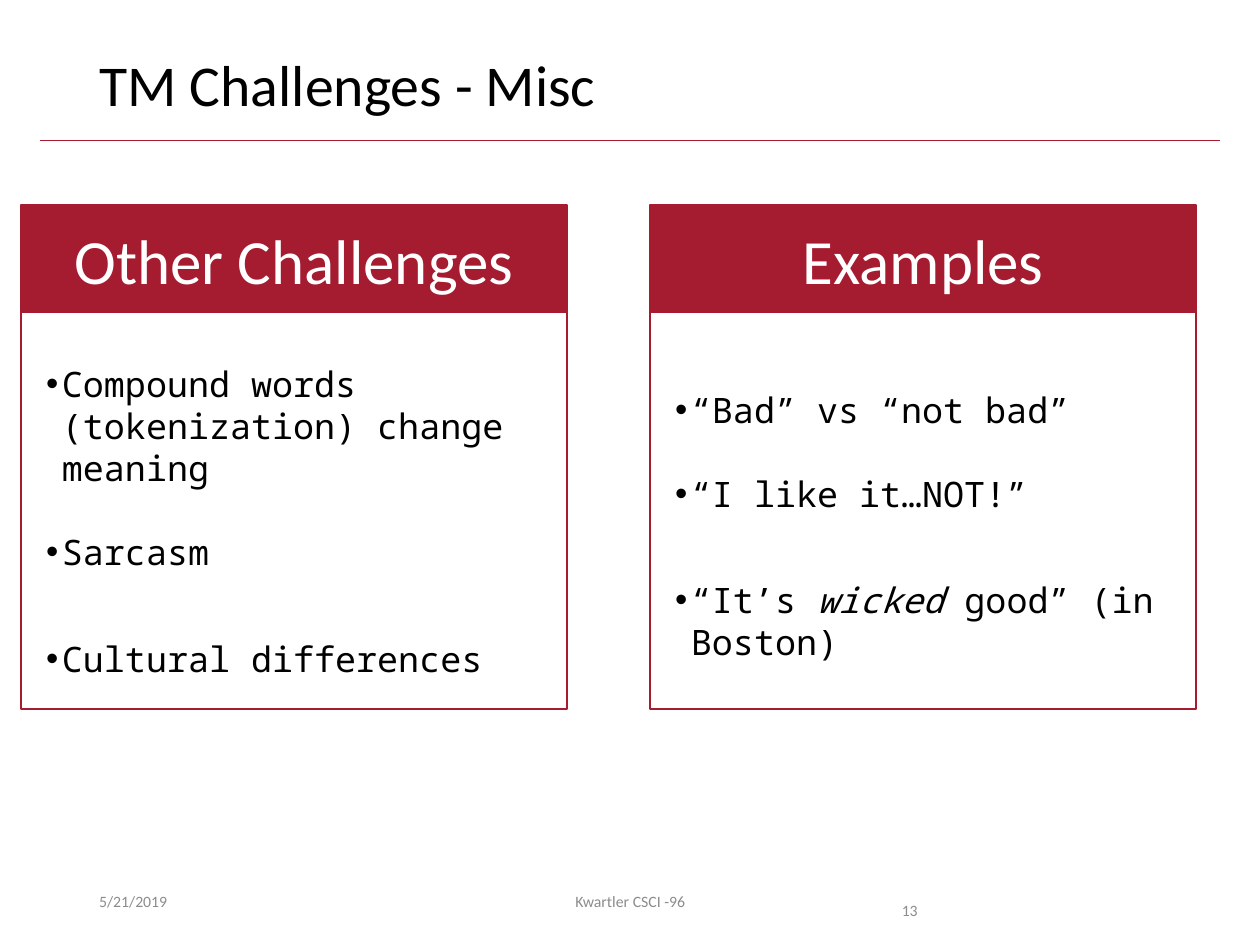
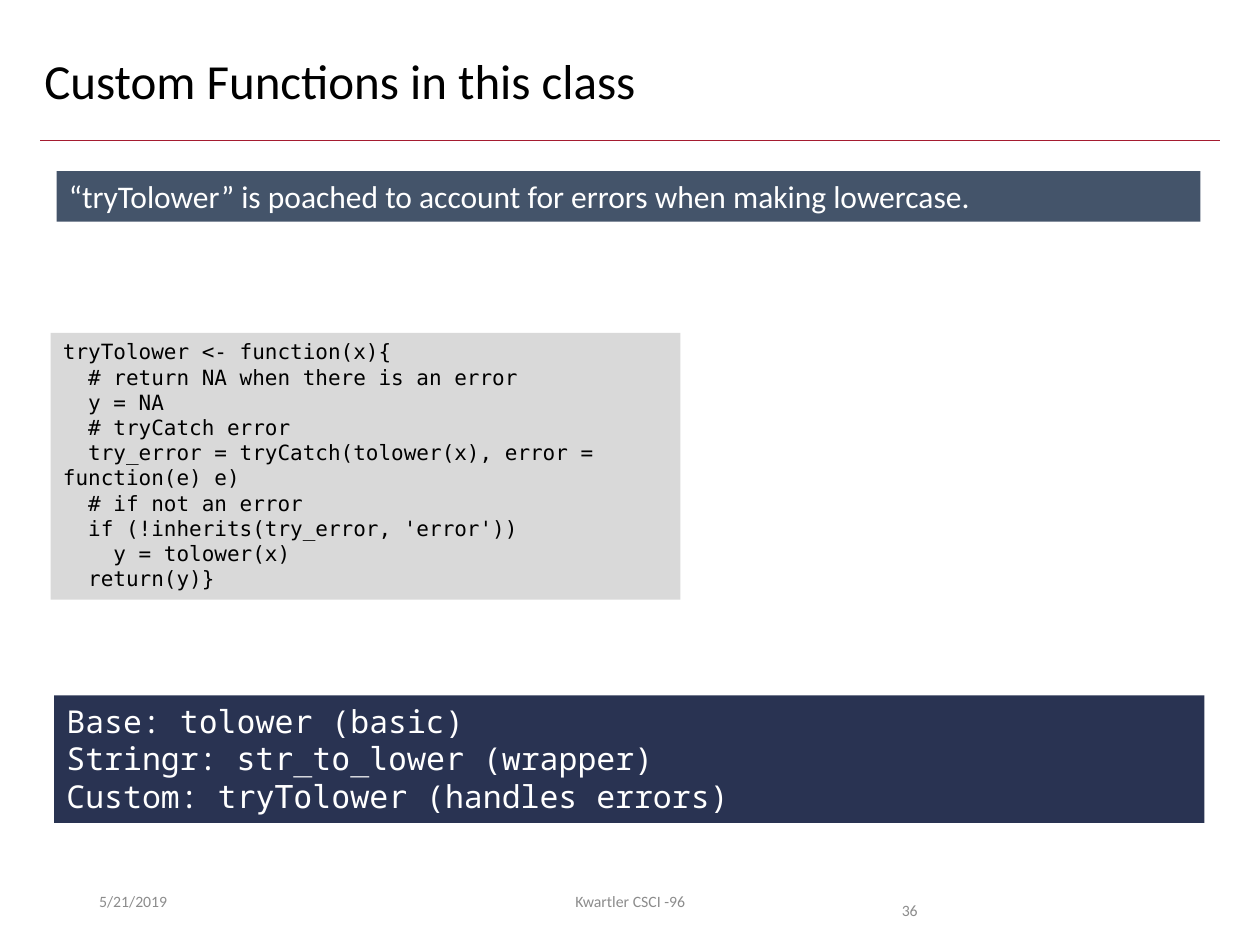
from dataclasses import dataclass, replace

from lxml import etree
from pptx import Presentation
from pptx.dml import color as dml
from pptx.enum import shapes, text
from pptx.oxml import ns
from pptx.util import Cm, Pt


@dataclass(frozen=True)
class Style:
    font: str
    size: int
    color: str
    italic: bool = False


@dataclass(frozen=True)
class Theme:
    crimson: str = "A51C30"
    slate: str = "44546A"
    navy: str = "293352"
    silver: str = "D9D9D9"
    title: Style = Style("Calibri", 33, "000000")
    small_title: Style = Style("Calibri", 28, "000000")
    footer: Style = Style("Calibri", 9, "8C8C8C")
    heading: Style = Style("Calibri", 36, "FFFFFF")
    bullet: Style = Style("Noto Sans Mono", 20, "000000")
    code: Style = Style("DejaVu Sans Mono", 12, "000000")
    note: Style = Style("Calibri", 18, "FFFFFF")
    summary: Style = Style("Noto Sans Mono", 18, "FFFFFF")


THEME = Theme()
LEFT = text.PP_ALIGN.LEFT
CENTER = text.PP_ALIGN.CENTER
TOP = text.MSO_ANCHOR.TOP
MIDDLE = text.MSO_ANCHOR.MIDDLE
GROW = text.MSO_AUTO_SIZE.SHAPE_TO_FIT_TEXT
FIXED = text.MSO_AUTO_SIZE.NONE


def lengths(values):
    return [Cm(value) for value in values]


def rgb(code):
    return dml.RGBColor.from_string(code)


class Deck:
    def __init__(self, theme):
        self.theme = theme
        self.deck = Presentation()
        self.deck.slide_width, self.deck.slide_height = Cm(25.4), Cm(19.05)
        self.page = None

    def fill_text(self, box, lines, style, accent=None, align=LEFT, anchor=TOP, fit=FIXED):
        frame = box.text_frame
        frame.word_wrap = True
        frame.auto_size = fit
        frame.vertical_anchor = anchor
        frame.text = "\n".join(line.replace("|", "") for line in lines)
        for para, line in zip(frame.paragraphs, lines):
            para.alignment = align
            pieces = line.split("|")
            para.text = pieces[0]
            for piece in pieces[1:]:
                para.add_run().text = piece
            for index, span in enumerate(para.runs):
                look = accent if index % 2 else style
                span.font.name = look.font
                span.font.size = Pt(look.size)
                span.font.italic = look.italic
                span.font.color.rgb = rgb(look.color)
        return frame

    def start(self, title, place, style, number):
        self.page = self.deck.slides.add_slide(self.deck.slide_layouts[5])
        box = self.page.shapes.title
        box.left, box.top, box.width, box.height = lengths(place)
        self.fill_text(box, [title], style).paragraphs[0].line_spacing = 0.9
        self.rule()
        self.label("5/21/2019", 1.75, 5.72, anchor=MIDDLE)
        self.label("Kwartler CSCI -96", 8.41, 8.59, align=CENTER, anchor=MIDDLE)
        self.label(number, 17.93, 2.39).paragraphs[0].line_spacing = 2.0

    def rule(self):
        line = self.page.shapes.add_connector(
            shapes.MSO_CONNECTOR.STRAIGHT, *lengths((0.81, 2.84, 24.59, 2.84)))
        line.line.color.rgb = rgb(self.theme.crimson)
        line.line.width = Pt(0.5)
        etree.SubElement(line._element.spPr, ns.qn("a:effectLst"))

    def label(self, words, left, width, **layout):
        box = self.page.shapes.add_textbox(*lengths((left, 17.65, width, 1.02)))
        return self.fill_text(box, [words], self.theme.footer, **layout)

    def rectangle(self, place, fill=None, outline=None):
        box = self.page.shapes.add_shape(shapes.MSO_SHAPE.RECTANGLE, *lengths(place))
        box.shadow.inherit = False
        if fill:
            box.fill.solid()
            box.fill.fore_color.rgb = rgb(fill)
        else:
            box.fill.background()
        if outline:
            box.line.color.rgb = rgb(outline)
            box.line.width = Pt(1)
        else:
            box.line.fill.background()
        return box

    def panel(self, place, fill, lines, style, accent=None):
        self.fill_text(self.rectangle(place, fill), lines, style, accent, fit=GROW)

    def bullets(self, place, lines, gaps):
        style = self.theme.bullet
        box = self.page.shapes.add_textbox(*lengths(place))
        frame = self.fill_text(box, lines, style, replace(style, italic=True), fit=GROW)
        for para, gap in zip(frame.paragraphs, gaps):
            props = para._p.get_or_add_pPr()
            props.set("marL", str(Cm(0.32)))
            props.set("indent", str(-Cm(0.32)))
            etree.SubElement(props, ns.qn("a:buFont"), typeface="Arial")
            etree.SubElement(props, ns.qn("a:buChar"), char="•")
            para.space_before = Pt(gap)

    def card(self, left, heading, lines, text_top, text_height):
        crimson = self.theme.crimson
        self.bullets((left + 0.25, text_top, 10.54, text_height), lines, (0, 24, 37))
        header = self.rectangle((left, 4.14, 11, 2.16), crimson, crimson)
        self.fill_text(header, [heading], self.theme.heading, align=CENTER, anchor=MIDDLE)
        self.rectangle((left, 4.52, 11, 9.78), outline=crimson)


def challenges(deck):
    deck.start("TM Challenges - Misc", (1.75, 1.02, 21.9, 1.65), THEME.title, "13")
    cards = [
        ("Other Challenges", 7.19, 5.87,
         ["Compound words (tokenization) change meaning", "Sarcasm", "Cultural differences"]),
        ("Examples", 7.7, 5,
         ["“Bad” vs “not bad”", "“I like it…NOT!”", "“It’s |wicked| good” (in Boston)"]),
    ]
    for column, (heading, top, height, lines) in enumerate(cards):
        deck.card(0.43 + column * 12.68, heading, lines, top, height)


def custom_functions(deck):
    deck.start("Custom Functions in this class", (0.64, 1.02, 24.05, 1.65),
               THEME.small_title, "36")
    code = [
        "tryTolower <- function(x){",
        "  # return NA when there is an error",
        "  y = NA",
        "  # tryCatch error",
        "  try_error = tryCatch(tolower(x), error = function(e) e)",
        "  # if not an error",
        "  if (!inherits(try_error, 'error'))",
        "    y = tolower(x)",
        "  return(y)}",
    ]
    deck.panel((1.02, 6.71, 12.7, 5.38), THEME.silver, code, THEME.code)
    deck.panel((1.14, 3.45, 23.06, 1.02), THEME.slate,
               ["“tryTolower” is poached to account for errors when making lowercase."],
               THEME.note)
    summary = [
        "Base: |tolower| (basic)",
        "Stringr: |str_to_lower| (wrapper)",
        "Custom: |tryTolower| (handles errors)",
    ]
    deck.panel((1.09, 14.02, 23.19, 2.57), THEME.navy, summary, THEME.summary,
               replace(THEME.summary, font=THEME.code.font))


def main():
    deck = Deck(THEME)
    challenges(deck)
    custom_functions(deck)
    deck.deck.save("out.pptx")


if __name__ == "__main__":
    main()
